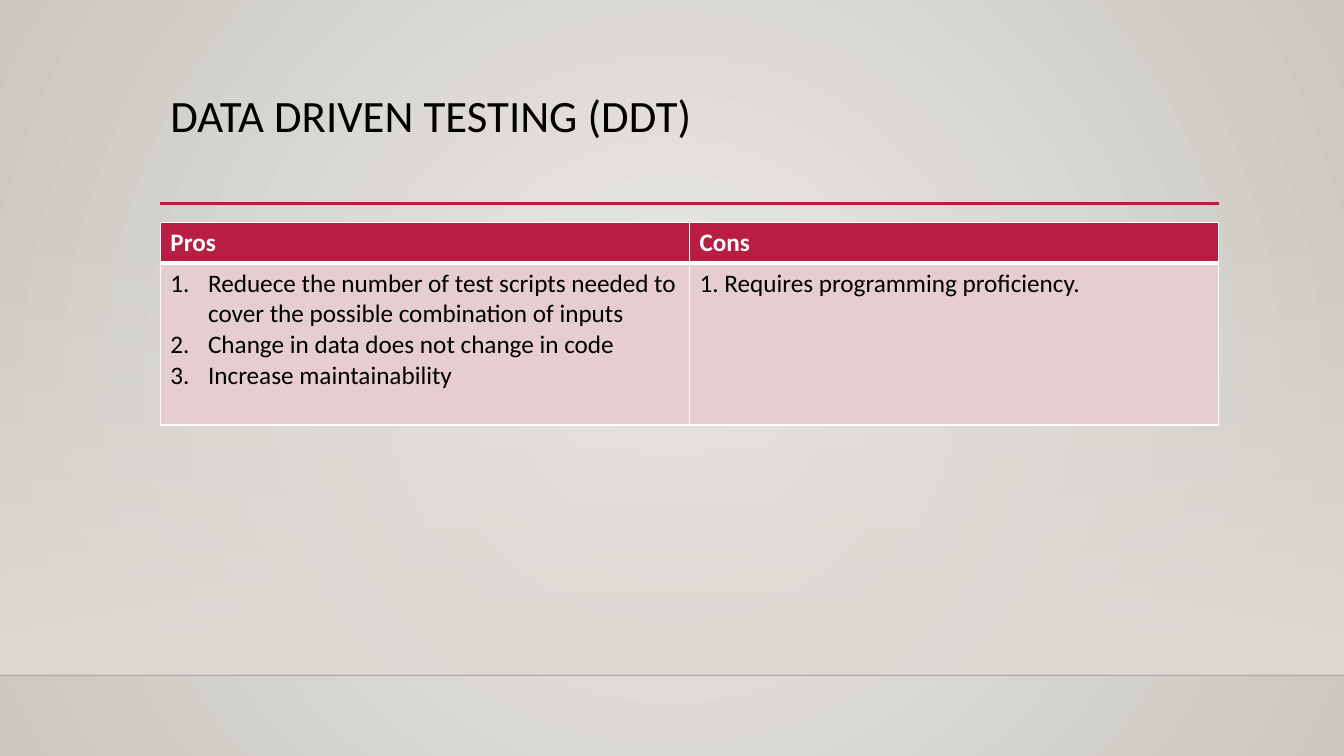
from dataclasses import dataclass

from lxml import etree
from pptx import Presentation
from pptx.dml.color import RGBColor
from pptx.enum.shapes import MSO_CONNECTOR, MSO_SHAPE
from pptx.enum.text import MSO_ANCHOR, MSO_AUTO_SIZE, PP_ALIGN
from pptx.oxml import parse_xml
from pptx.oxml.ns import nsdecls, qn
from pptx.util import Cm, Pt

STRAIGHT = MSO_CONNECTOR.STRAIGHT
RECTANGLE = MSO_SHAPE.RECTANGLE
TOP = MSO_ANCHOR.TOP
NO_AUTOFIT = MSO_AUTO_SIZE.NONE
LEFT = PP_ALIGN.LEFT

FONT = "Calibri"
BLACK = RGBColor(0x00, 0x00, 0x00)
NEAR_BLACK = RGBColor(0x00, 0x00, 0x01)
WHITE = RGBColor(0xFF, 0xFF, 0xFF)
CRIMSON = RGBColor(0xB7, 0x1E, 0x42)
PINK = RGBColor(0xE6, 0xCD, 0xCF)
BACK_LIGHT = RGBColor(0xEC, 0xEA, 0xE7)
BACK_DARK = RGBColor(0xCA, 0xC7, 0xC1)
BAND = RGBColor(0xDF, 0xDB, 0xD5)

SLIDE_W, SLIDE_H = Cm(33.87), Cm(19.05)
MARGIN, CONTENT_W = Cm(4.04), Cm(26.67)
FLOOR_Y = Cm(17.02)
NUMBER_INDENT = Cm(0.95)


@dataclass
class Rule:
    x1: int
    x2: int
    y: int
    color: RGBColor
    width: float
    opacity: int = 100


@dataclass
class Column:
    heading: str
    items: list[str]
    numbered: bool


RULES = [
    Rule(0, SLIDE_W, FLOOR_Y, NEAR_BLACK, 1, opacity=20),
    Rule(MARGIN, Cm(30.73), Cm(5.13), CRIMSON, 2.5),
]
COLUMNS = [
    Column("Pros", [
        "Reduece the number of test scripts needed to cover the possible combination of inputs",
        "Change in data does not change in code",
        "Increase maintainability",
    ], numbered=True),
    Column("Cons", ["1. Requires programming proficiency."], numbered=False),
]


def set_gradient(fill_parent, start: RGBColor, end: RGBColor, direction: str,
                 start_opacity: int = 100) -> None:
    """Replace the gradient below fill_parent by a two-stop one."""
    old = fill_parent.find(qn("a:gradFill"))
    new = parse_xml(
        f'<a:gradFill {nsdecls("a")} rotWithShape="1"><a:gsLst>'
        f'<a:gs pos="0"><a:srgbClr val="{start}"><a:alpha val="{start_opacity * 1000}"/>'
        f'</a:srgbClr></a:gs><a:gs pos="100000"><a:srgbClr val="{end}"/></a:gs>'
        f'</a:gsLst>{direction}</a:gradFill>')
    fill_parent.replace(old, new)


def draw_rule(slide, rule: Rule) -> None:
    line = slide.shapes.add_connector(STRAIGHT, rule.x1, rule.y, rule.x2, rule.y)
    line.line.color.rgb = rule.color
    line.line.width = Pt(rule.width)
    sp_pr = line._element.spPr
    if rule.opacity < 100:
        color = sp_pr.find(".//" + qn("a:srgbClr"))
        etree.SubElement(color, qn("a:alpha"), val=str(rule.opacity * 1000))
    etree.SubElement(sp_pr, qn("a:effectLst"))


def number_paragraph(p) -> None:
    p_pr = p._p.get_or_add_pPr()
    p_pr.set("marL", str(NUMBER_INDENT))
    p_pr.set("indent", str(-NUMBER_INDENT))
    p_pr.insert(0, parse_xml(f'<a:buAutoNum {nsdecls("a")} type="arabicPeriod"/>'))


def set_borders(cell, top: float, bottom: float) -> None:
    tc_pr = cell._tc.get_or_add_tcPr()
    sides = {"lnL": 1, "lnR": 1, "lnT": top, "lnB": bottom}
    for i, (side, width) in enumerate(sides.items()):
        tc_pr.insert(i, parse_xml(
            f'<a:{side} {nsdecls("a")} w="{Pt(width)}"><a:solidFill>'
            f'<a:srgbClr val="{WHITE}"/></a:solidFill></a:{side}>'))


def fill_cell(cell, lines: list[str], header: bool, numbered: bool = False) -> None:
    tf = cell.text_frame
    tf.text = "\n".join(lines)
    for p in tf.paragraphs:
        p.font.name = FONT
        p.font.size = Pt(18)
        p.font.bold = header
        p.font.color.rgb = WHITE if header else BLACK
        if numbered:
            number_paragraph(p)
    cell.fill.solid()
    cell.fill.fore_color.rgb = CRIMSON if header else PINK
    set_borders(cell, top=1 if header else 3, bottom=3 if header else 1)


def draw_table(slide, columns: list[Column]) -> None:
    header_h, body_h = Cm(1.03), Cm(4.08)
    table = slide.shapes.add_table(2, len(columns), MARGIN, Cm(5.6),
                                   CONTENT_W, header_h + body_h).table
    table.rows[0].height = header_h
    table.rows[1].height = body_h
    for i, column in enumerate(columns):
        fill_cell(table.cell(0, i), [column.heading], header=True)
        fill_cell(table.cell(1, i), column.items, header=False, numbered=column.numbered)


def draw_background(slide) -> None:
    fill = slide.background.fill
    fill.gradient()
    set_gradient(slide._element.find(".//" + qn("p:bgPr")), BACK_LIGHT, BACK_DARK,
                 '<a:path path="circle"><a:fillToRect l="50000" t="50000" '
                 'r="50000" b="50000"/></a:path>')

    # Band fading in towards the floor line
    sp = slide.shapes.add_shape(RECTANGLE, 0, Cm(5.61), SLIDE_W, FLOOR_Y - Cm(5.61))
    sp.shadow.inherit = False
    sp.line.fill.background()
    sp.fill.gradient()
    set_gradient(sp._element.spPr, BAND, BAND, '<a:lin ang="5400000" scaled="0"/>',
                 start_opacity=0)


def draw_title(slide, text: str) -> None:
    title = slide.shapes.title
    title.left, title.top = MARGIN, Cm(2.24)
    title.width, title.height = CONTENT_W, Cm(2.92)
    tf = title.text_frame
    tf.text = text
    tf.word_wrap = True
    tf.auto_size = NO_AUTOFIT
    tf.vertical_anchor = TOP
    p = tf.paragraphs[0]
    p.alignment = LEFT
    p.line_spacing = 0.9
    p.font.name = FONT
    p.font.size = Pt(32)
    p.font.color.rgb = BLACK


def main() -> None:
    prs = Presentation()
    prs.slide_width, prs.slide_height = SLIDE_W, SLIDE_H
    slide = prs.slides.add_slide(prs.slide_layouts[5])

    # Backdrop and rules
    draw_background(slide)
    for rule in RULES:
        draw_rule(slide, rule)

    # Content
    draw_title(slide, "DATA DRIVEN TESTING (DDT)")
    draw_table(slide, COLUMNS)
    prs.save("out.pptx")


if __name__ == "__main__":
    main()
